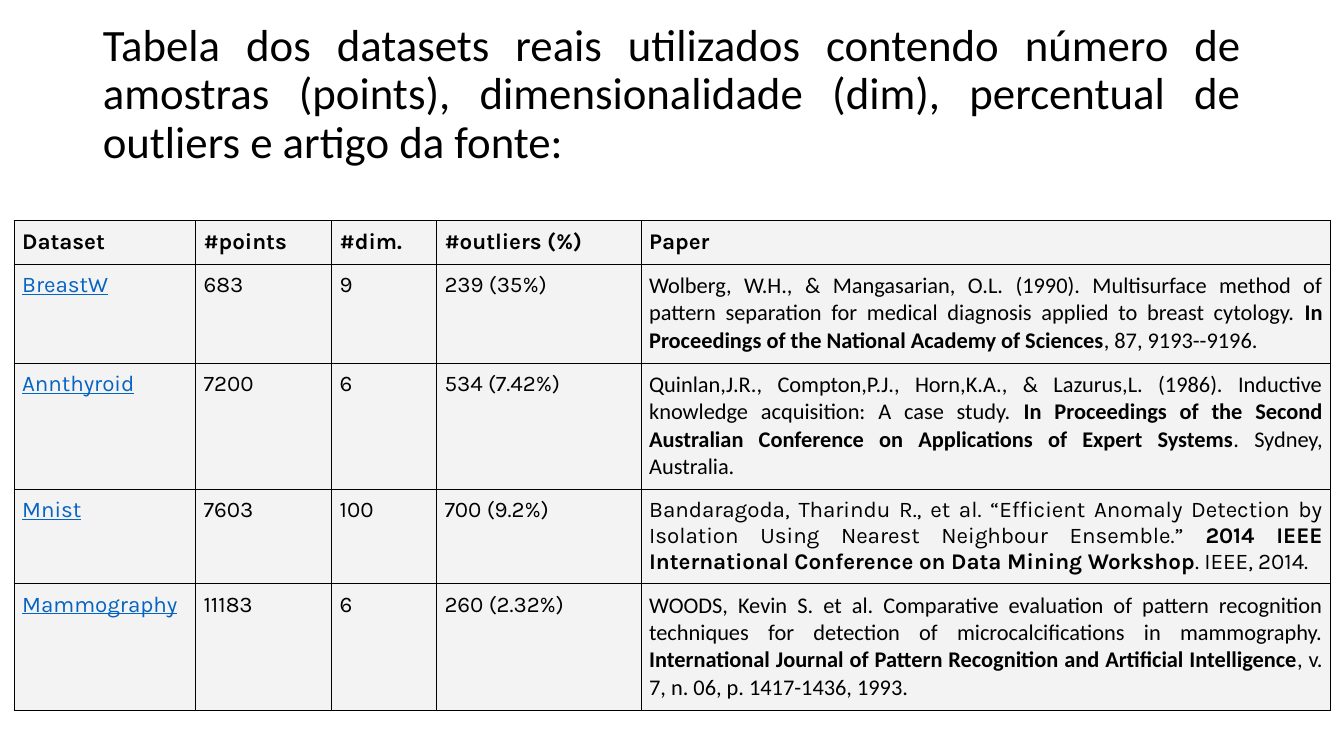
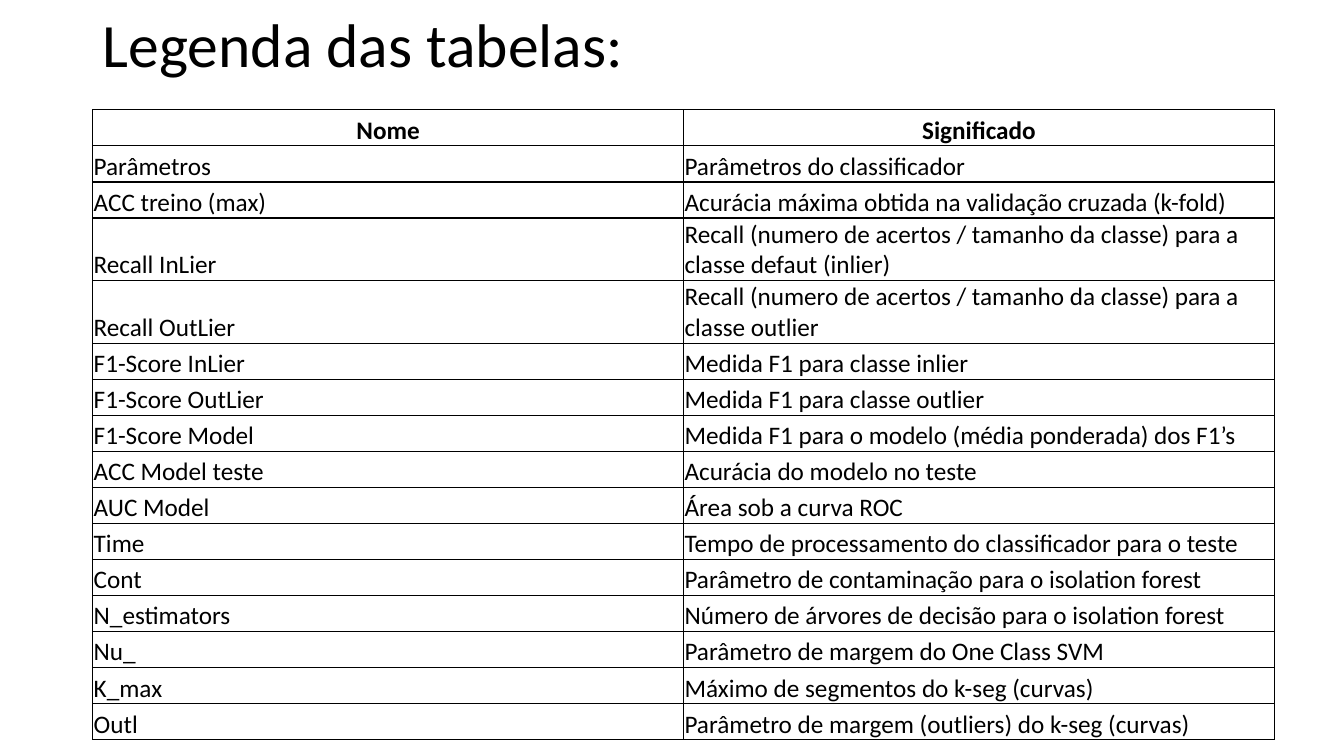
"""Build two slides: the table of datasets and the legend of the result tables."""
from dataclasses import dataclass
from typing import Optional

from lxml import etree
from pptx import Presentation
from pptx import util as u
from pptx.dml.color import RGBColor
from pptx.enum import text
from pptx.oxml.ns import qn

SLIDE_W, SLIDE_H = u.Inches(13.33), u.Inches(7.5)
COLORS = {"ink": "000000", "link": "0563C1", "cell": "F3F3F3"}
BODY, ACCENT = "Calibri", "Karla"
TITLE_LEFT, TITLE_WIDTH = 6.9, 86.25
ALIGN, ANCHOR = text.PP_ALIGN, text.MSO_ANCHOR


@dataclass(frozen=True)
class Title:
    words: str
    top: float
    height: float
    size: int
    align: ALIGN


@dataclass(frozen=True)
class Cell:
    words: str
    face: str = BODY
    color: str = "ink"
    bold: bool = False
    align: ALIGN = ALIGN.LEFT
    anchor: ANCHOR = ANCHOR.BOTTOM
    insets: tuple[float, ...] = (0.01, 0.01, 0.01, 0)


@dataclass(frozen=True)
class Grid:
    left: float
    top: float
    cols: tuple[float, ...]
    rows: tuple[float, ...]
    size: int
    line: float
    fill: Optional[str] = None


def across(share: float) -> int:
    """Turn a percentage of the slide width into a length."""
    return round(SLIDE_W * share / 100)


def down(share: float) -> int:
    """Turn a percentage of the slide height into a length."""
    return round(SLIDE_H * share / 100)


def rgb(name: str) -> RGBColor:
    """Look up a palette colour."""
    return RGBColor.from_string(COLORS[name])


def set_font(font, face: str, size: int, color: str) -> None:
    """Apply face, size and colour."""
    font.name, font.size = face, u.Pt(size)
    font.color.rgb = rgb(color)


def add_slide(prs, title: Title):
    """Add a title-only slide with its title formatted."""
    s = prs.slides.add_slide(prs.slide_layouts[5])
    sp = s.shapes.title
    sp.left, sp.top = across(TITLE_LEFT), down(title.top)
    sp.width, sp.height = across(TITLE_WIDTH), down(title.height)
    tf = sp.text_frame
    tf.text = title.words
    tf.word_wrap = True
    tf.auto_size = text.MSO_AUTO_SIZE.NONE
    tf.vertical_anchor = ANCHOR.MIDDLE
    p = tf.paragraphs[0]
    p.alignment, p.line_spacing = title.align, 0.9
    set_font(p.font, BODY, title.size, "ink")
    return s


def add_borders(cell, width: float) -> None:
    """Draw the four sides of a table cell."""
    tcPr = cell._tc.get_or_add_tcPr()
    for side in "LRTB":
        ln = etree.SubElement(tcPr, qn(f"a:ln{side}"), w=str(u.Pt(width)))
        fill = etree.SubElement(ln, qn("a:solidFill"))
        etree.SubElement(fill, qn("a:srgbClr"), val=COLORS["ink"])


def fill_cell(cell, content: Cell, grid: Grid) -> None:
    """Write and format one cell; text between double asterisks is bold."""
    (cell.margin_left, cell.margin_top,
     cell.margin_right, cell.margin_bottom) = map(u.Inches, content.insets)
    cell.vertical_anchor = content.anchor
    add_borders(cell, grid.line)
    if grid.fill:
        cell.fill.solid()
        cell.fill.fore_color.rgb = rgb(grid.fill)
    else:
        cell.fill.background()
    p = cell.text_frame.paragraphs[0]
    p.alignment = content.align
    set_font(p.font, content.face, grid.size, content.color)
    p.font.underline = content.color == "link"
    for i, words in enumerate(content.words.split("**")):
        r = p.add_run()
        r.text = words
        r.font.bold = content.bold or i % 2 == 1


def add_grid(s, grid: Grid, rows: list[list[Cell]]) -> None:
    """Add a table whose columns and rows are shares of the slide."""
    frame = s.shapes.add_table(
        len(rows), len(grid.cols), across(grid.left), down(grid.top),
        across(sum(grid.cols)), down(sum(grid.rows)))
    table = frame.table
    table.first_row = table.horz_banding = False
    for col, share in zip(table.columns, grid.cols):
        col.width = across(share)
    for row, share, contents in zip(table.rows, grid.rows, rows):
        row.height = down(share)
        for cell, content in zip(row.cells, contents):
            fill_cell(cell, content, grid)


DATASET_TITLE = Title(
    "Tabela dos datasets reais utilizados contendo número de amostras (points), "
    "dimensionalidade (dim), percentual de outliers e artigo da fonte:",
    2.93, 19.33, 32, ALIGN.JUSTIFY)
DATASET_GRID = Grid(1.05, 29.2, (13.5, 10.13, 7.8, 15.23, 51.31),
                    (5.73, 13.1, 16.67, 12.53, 16.8), 16, 0.75, "cell")
DATASET_HEADS = ("Dataset", "#points", "#dim.", "#outliers (%)", "Paper")
DATASETS = (
    ("BreastW", "683", "9", "239 (35%)", BODY,
     "Wolberg, W.H., & Mangasarian, O.L. (1990). Multisurface method of pattern "
     "separation for medical diagnosis applied to breast cytology. **In Proceedings "
     "of the National Academy of Sciences**, 87, 9193--9196."),
    ("Annthyroid", "7200", "6", "534 (7.42%)", BODY,
     "Quinlan,J.R., Compton,P.J., Horn,K.A., & Lazurus,L. (1986). Inductive knowledge "
     "acquisition: A case study. **In Proceedings of the Second Australian Conference "
     "on Applications of Expert Systems**. Sydney, Australia."),
    ("Mnist", "7603", "100", "700 (9.2%)", ACCENT,
     "Bandaragoda, Tharindu R., et al. “Efficient Anomaly Detection by Isolation Using "
     "Nearest Neighbour Ensemble.” **2014 IEEE International Conference on Data Mining "
     "Workshop**. IEEE, 2014."),
    ("Mammography", "11183", "6", "260 (2.32%)", BODY,
     "WOODS, Kevin S. et al. Comparative evaluation of pattern recognition techniques "
     "for detection of microcalcifications in mammography. **International Journal of "
     "Pattern Recognition and Artificial Intelligence**, v. 7, n. 06, p. 1417-1436, 1993."),
)

LEGEND_TITLE = Title("Legenda das tabelas:", 0, 12.67, 44, ALIGN.LEFT)
LEGEND_HEADS = ("Nome", "Significado")
LEGEND = (
    ("Parâmetros", "Parâmetros do classificador"),
    ("ACC treino (max)", "Acurácia máxima obtida na validação cruzada (k-fold)"),
    ("Recall InLier",
     "Recall (numero de acertos / tamanho da classe) para a classe defaut (inlier)"),
    ("Recall OutLier",
     "Recall (numero de acertos / tamanho da classe) para a classe outlier"),
    ("F1-Score InLier", "Medida F1 para classe inlier"),
    ("F1-Score OutLier", "Medida F1 para classe outlier"),
    ("F1-Score Model", "Medida F1 para o modelo (média ponderada) dos F1’s"),
    ("ACC Model teste", "Acurácia do modelo no teste"),
    ("AUC Model", "Área sob a curva ROC"),
    ("Time", "Tempo de processamento do classificador para o teste"),
    ("Cont", "Parâmetro de contaminação para o isolation forest"),
    ("N_estimators", "Número de árvores de decisão para o isolation forest"),
    ("Nu_", "Parâmetro de margem do One Class SVM"),
    ("K_max", "Máximo de segmentos do k-seg (curvas)"),
    ("Outl", "Parâmetro de margem (outliers) do k-seg (curvas)"),
)
ONE_LINE, TWO_LINES = 4.77, 8.3
LEGEND_GRID = Grid(
    TITLE_LEFT, 14.53, (43.96, 43.96),
    (ONE_LINE,) + tuple(TWO_LINES if name.startswith("Recall") else ONE_LINE
                        for name, _ in LEGEND), 18, 1)


def dataset_cell(words: str, face: str = ACCENT, color: str = "ink") -> Cell:
    """Describe a body cell of the dataset table."""
    return Cell(words, face, color, False, ALIGN.JUSTIFY, ANCHOR.TOP, (0.08,) * 4)


def dataset_rows() -> list[list[Cell]]:
    """Describe the header and body of the dataset table."""
    rows = [[Cell(head, ACCENT, "ink", True, ALIGN.JUSTIFY, ANCHOR.MIDDLE,
                  (0.08, 0.08, 0.21, 0.08)) for head in DATASET_HEADS]]
    for name, *numbers, face, paper in DATASETS:
        rows.append([dataset_cell(name, color="link"),
                     *map(dataset_cell, numbers), dataset_cell(paper, face)])
    return rows


def legend_rows() -> list[list[Cell]]:
    """Describe the header and body of the legend."""
    heads = [Cell(head, bold=True, align=ALIGN.CENTER) for head in LEGEND_HEADS]
    return [heads] + [[Cell(words) for words in entry] for entry in LEGEND]


def main() -> None:
    """Build and save the presentation."""
    prs = Presentation()
    prs.slide_width, prs.slide_height = SLIDE_W, SLIDE_H
    add_grid(add_slide(prs, DATASET_TITLE), DATASET_GRID, dataset_rows())
    add_grid(add_slide(prs, LEGEND_TITLE), LEGEND_GRID, legend_rows())
    prs.save("out.pptx")


if __name__ == "__main__":
    main()
